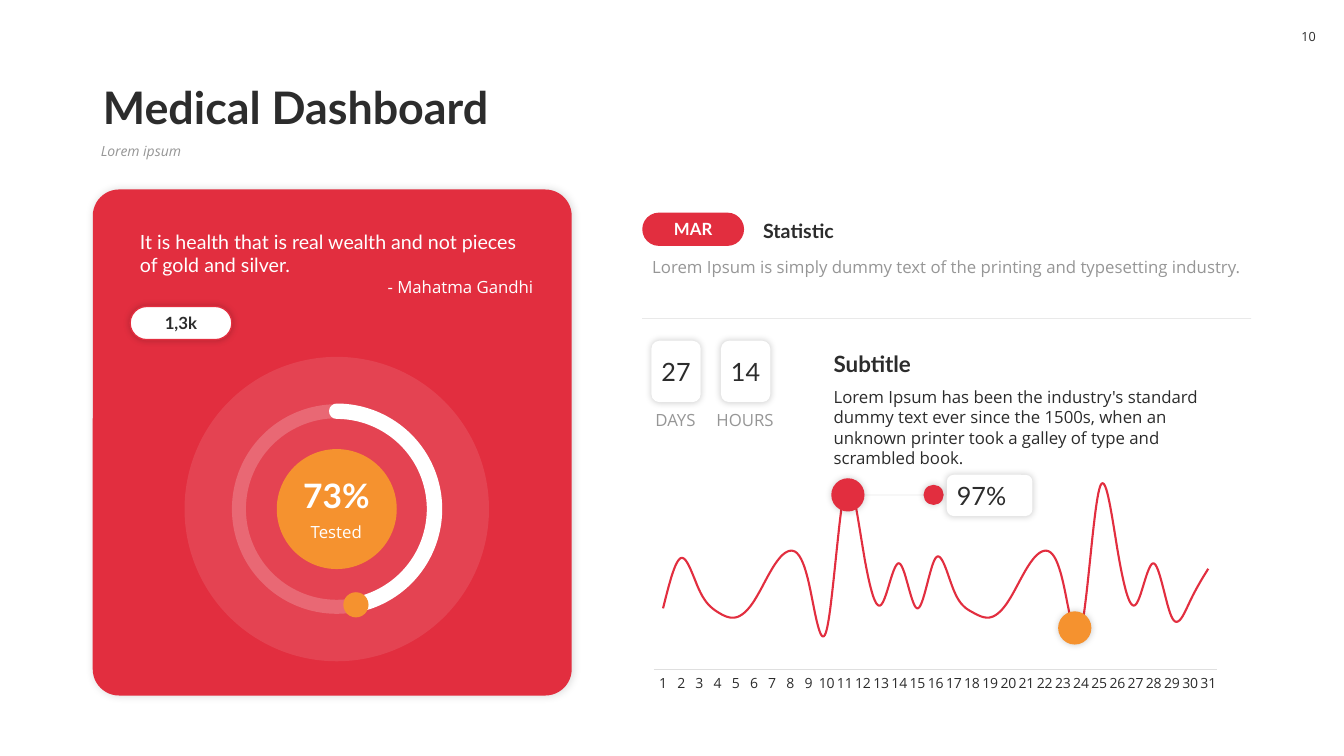
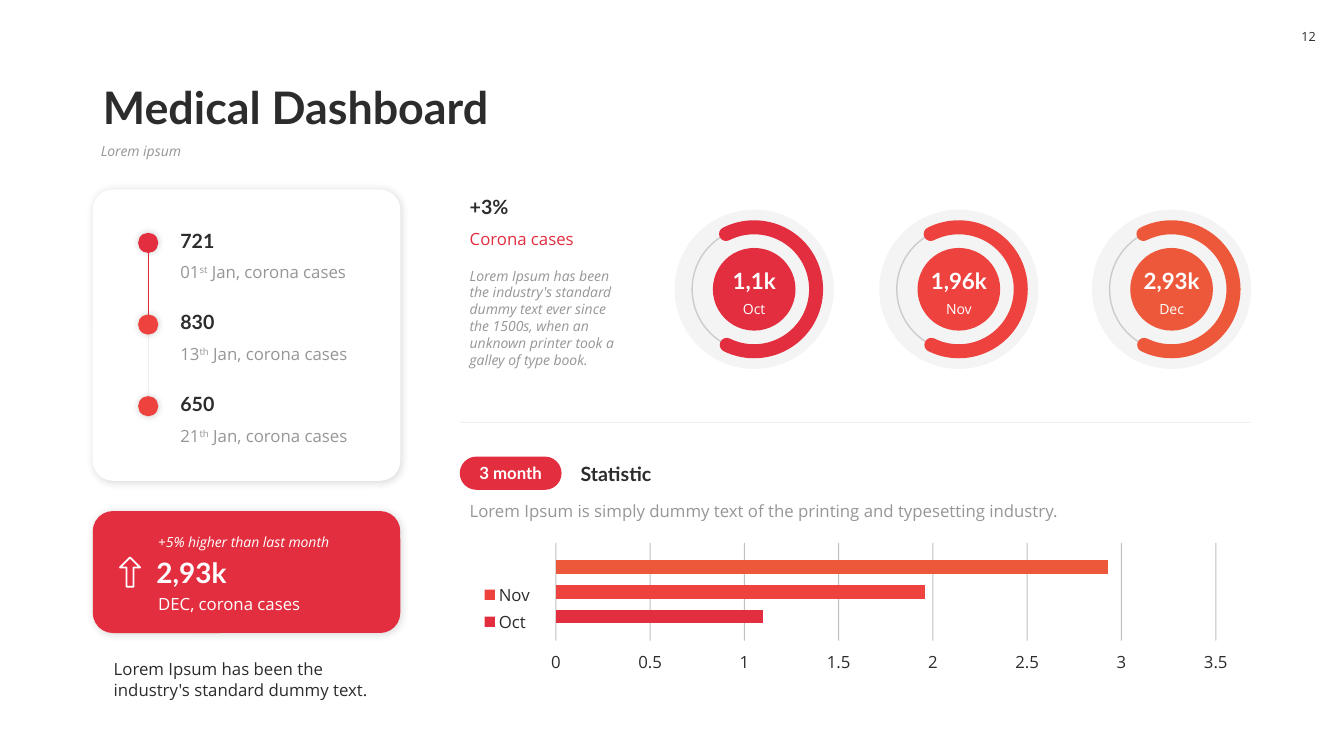
"""Build two medical dashboard slides."""
from lxml.etree import SubElement
from pptx import Presentation
from pptx.chart.data import CategoryChartData
from pptx.dml.color import RGBColor
from pptx.enum.chart import XL_CHART_TYPE as Chart, XL_LEGEND_POSITION as Legend
from pptx.enum.chart import XL_TICK_LABEL_POSITION as Labels, XL_TICK_MARK as Tick
from pptx.enum.shapes import MSO_CONNECTOR, MSO_SHAPE as Shape
from pptx.enum.text import MSO_ANCHOR as Anchor, MSO_AUTO_SIZE as Fit, PP_ALIGN as Align
from pptx.oxml.ns import qn
from pptx.util import Inches, Pt

RED, CORAL, FLAME, ORANGE = "E22E3F", "EE423E", "EE583A", "F5922F"
DARK, GRAY, WHITE, AXIS = "2C2C2C", "969696", "FFFFFF", "DFDFDF"
HEAD, BODY = "Lato", "Open Sans"
CARD_SHADOW, SOFT_SHADOW = (15, 6, 1), (20, 5, 0)

TITLE, SUBTITLE = "Medical Dashboard", "Lorem ipsum"
INTRO = "Lorem Ipsum is simply dummy text of the printing and typesetting industry."
QUOTE = "It is health that is real wealth and not pieces of gold and silver."
STORY = ("Lorem Ipsum has been the industry's standard dummy text ever since "
         "the 1500s, when an unknown printer took a galley of type and scrambled book.")
CASES_STORY = ("Lorem Ipsum has been the industry's standard dummy text ever since "
               "the 1500s, when an unknown printer took a galley of type book.")
CLOSING = "Lorem Ipsum has been the industry's standard dummy text."
COUNTERS = [("27", "DAYS", 6.7), ("14", "HOURS", 7.39)]
DAILY = [34, 62, 44, 32, 29, 38, 56, 66, 49, 22, 100, 67, 36, 59, 34, 62,
         44, 32, 29, 38, 56, 66, 49, 22, 100, 67, 36, 59, 29, 38, 56]
TIMELINE = [("721", ("01", "st", " Jan, corona cases"), RED),
            ("830", ("13", "th", " Jan, corona cases"), CORAL),
            ("650", ("21", "th", " Jan, corona cases"), CORAL)]
MONTHS = [("Oct", 1.1, "1,1k", RED, 7.48),
          ("Nov", 1.96, "1,96k", CORAL, 9.51),
          ("Dec", 2.93, "2,93k", FLAME, 11.62)]


def rgb(color):
    return RGBColor.from_string(color)


def around(x, y, size):
    return x - size / 2, y - size / 2, size, size


def paint(fill, color, alpha=100):
    fill.solid()
    fill.fore_color.rgb = rgb(color)
    if alpha < 100:
        node = fill._xPr.find(qn("a:solidFill"))[0]
        SubElement(node, qn("a:alpha"), val=str(alpha * 1000))


def draw_line(line, color, width, alpha=100):
    line.width = Pt(width)
    paint(line.fill, color, alpha)


def set_font(font, size, color=DARK, name=BODY, bold=False, italic=False):
    font.size, font.name, font.bold, font.italic = Pt(size), name, bold, italic
    font.color.rgb = rgb(color)


def write(frame, text, size=12, align=Align.LEFT, anchor=Anchor.TOP,
          inset=0.1, spacing=None, wrap=True, fit=Fit.NONE, **look):
    frame.word_wrap, frame.auto_size, frame.vertical_anchor = wrap, fit, anchor
    frame.margin_left = frame.margin_right = Inches(inset)
    frame.margin_top = frame.margin_bottom = Inches(0.05 if inset else 0)
    para = frame.add_paragraph() if frame.text else frame.paragraphs[0]
    para.alignment, para.line_spacing = align, spacing
    para.space_before = Pt(0)
    pieces = (text,) if isinstance(text, str) else text
    for index, piece in enumerate(pieces):
        span = para.add_run()
        span.text = piece
        set_font(span.font, size, **look)
        if index % 2:
            span._r.get_or_add_rPr().set("baseline", "30000")
    return para


def add_text(page, at, text, **look):
    box = page.shapes.add_textbox(*map(Inches, at))
    write(box.text_frame, text, fit=Fit.SHAPE_TO_FIT_TEXT, **look)
    return box


def add_heading(page, at, text, size=14, color=DARK, **look):
    return add_text(page, at, text, size=size, color=color, name=HEAD,
                    bold=True, anchor=Anchor.BOTTOM, **look)


def add_shape(page, kind, at, fill=None, alpha=100, line=None, shadow=None, adjust=()):
    shape = page.shapes.add_shape(kind, *map(Inches, at))
    shape.shadow.inherit = False
    for index, value in enumerate(adjust):
        shape.adjustments[index] = value
    if fill:
        paint(shape.fill, fill, alpha)
    else:
        shape.fill.background()
    if line:
        draw_line(shape.line, *line)
    else:
        shape.line.fill.background()
    if shadow:
        opacity, blur, distance = shadow
        effects = shape._element.spPr.find(qn("a:effectLst"))
        outer = SubElement(effects, qn("a:outerShdw"), blurRad=str(Pt(blur)),
                           dist=str(Pt(distance)), dir="2700000", algn="tl", rotWithShape="0")
        black = SubElement(outer, qn("a:srgbClr"), val="000000")
        SubElement(black, qn("a:alpha"), val=str(opacity * 1000))
    return shape


def add_dot(page, x, y, size, color, shadow=SOFT_SHADOW):
    return add_shape(page, Shape.OVAL, around(x, y, size), color, shadow=shadow)


def add_arc(page, at, start, end, color, width):
    arc = add_shape(page, Shape.ARC, at, line=(color, width),
                    adjust=(start * 0.6, end * 0.6))
    arc.line._get_or_add_ln().set("cap", "rnd")


def add_pill(page, left, top, text, fill=RED, color=WHITE, **look):
    pill = add_shape(page, Shape.ROUNDED_RECTANGLE, (left, top, 1.01, 0.33), fill,
                     adjust=(0.5,), **look)
    write(pill.text_frame, text, name=HEAD, bold=True, color=color,
          align=Align.CENTER, anchor=Anchor.MIDDLE, inset=0)


def add_tile(page, at, text, align=Align.CENTER, inset=0):
    tile = add_shape(page, Shape.ROUNDED_RECTANGLE, at, WHITE, shadow=SOFT_SHADOW)
    write(tile.text_frame, text, size=18, name=HEAD, align=align,
          anchor=Anchor.MIDDLE, inset=inset)


def add_rule(page, start, end, color=DARK, alpha=10):
    rule = page.shapes.add_connector(MSO_CONNECTOR.STRAIGHT, *map(Inches, start + end))
    draw_line(rule.line, color, 0.5, alpha)
    SubElement(rule._element.spPr, qn("a:effectLst"))


def add_card(page, top, width, height, fill, radius=0.2):
    ratio = round(radius / min(width, height), 3)
    add_shape(page, Shape.ROUNDED_RECTANGLE, (0.92, top, width, height), fill,
              shadow=CARD_SHADOW, adjust=(ratio,))


def add_statistic(page, left, top, label):
    add_pill(page, left, top, label)
    add_heading(page, (left + 1.1, top, 4.94, 0.34), "Statistic")
    add_text(page, (left, top + 0.39, 6.05, 0.3), INTRO, color=GRAY)


def add_chart(page, kind, at, categories, series):
    data = CategoryChartData()
    data.categories = categories
    for name, values in series:
        data.add_series(name, values)
    chart = page.shapes.add_chart(kind, *map(Inches, at), data).chart
    set_font(chart.font, 10)
    chart.has_title = chart.has_legend = False
    chart.plots[0].vary_by_categories = False
    for axis in (chart.category_axis, chart.value_axis):
        axis.major_tick_mark = axis.minor_tick_mark = Tick.NONE
        axis.has_major_gridlines = False
    return chart


def add_page(deck, number):
    page = deck.slides.add_slide(deck.slide_layouts[1])
    title, body = page.placeholders
    for holder, at in ((title, (0.92, 0.58, 11.5, 0.8)), (body, (0.9, 1.38, 11.52, 0.36))):
        holder.left, holder.top, holder.width, holder.height = map(Inches, at)
    write(title.text_frame, TITLE, size=32, name=HEAD, bold=True,
          anchor=Anchor.BOTTOM, spacing=0.9)
    para = write(body.text_frame, SUBTITLE, size=10, color=GRAY, italic=True, spacing=0.9)
    layout = para._p.get_or_add_pPr()
    layout.set("marL", "0")
    layout.set("indent", "0")
    SubElement(layout, qn("a:buNone"))
    add_text(page, (12.8, 0.23, 0.36, 0.27), number, size=9, align=Align.CENTER,
             anchor=Anchor.MIDDLE, inset=0.02, wrap=False)
    return page


def add_tested_card(page):
    add_card(page, 1.88, 4.75, 5.02, RED, radius=0.26)
    quote = add_text(page, (1.29, 2.23, 4.1, 0.77), QUOTE, size=14, name=HEAD, color=WHITE)
    write(quote.text_frame, "- Mahatma Gandhi", color=WHITE, align=Align.RIGHT,
          fit=Fit.SHAPE_TO_FIT_TEXT)
    add_pill(page, 1.29, 3.04, "1,3k", WHITE, DARK, line=(RED, 1), shadow=SOFT_SHADOW)
    x, y = 3.34, 5.05
    ring = around(x, y, 1.94)
    add_shape(page, Shape.OVAL, around(x, y, 3.02), WHITE, alpha=10)
    add_dot(page, x, y, 1.19, ORANGE, shadow=None)
    add_shape(page, Shape.OVAL, ring, line=(WHITE, 10, 20))
    add_arc(page, ring, 270, 74.93, WHITE, 11)
    add_dot(page, 3.53, 6.0, 0.25, ORANGE, shadow=None)
    add_heading(page, (2.74, 4.66, 1.19, 0.5), "73%", size=24, color=WHITE, align=Align.CENTER)
    add_text(page, (2.74, 5.13, 1.19, 0.3), "Tested", color=WHITE, align=Align.CENTER)


def add_daily_chart(page):
    days = [str(day + 1) for day in range(len(DAILY))]
    chart = add_chart(page, Chart.LINE_STACKED, (6.37, 4.45, 5.82, 2.47), days,
                      [("Series 1", DAILY)])
    chart.value_axis.visible = False
    draw_line(chart.category_axis.format.line, AXIS, 0.75)
    set_font(chart.category_axis.tick_labels.font, 10)
    series = chart.plots[0].series[0]
    series.smooth = True
    draw_line(series.format.line, RED, 1.5)


def add_march_page(deck):
    page = add_page(deck, "10")
    add_tested_card(page)
    add_statistic(page, 6.37, 2.11, "MAR")
    add_rule(page, (6.37, 3.16), (12.41, 3.16))
    add_daily_chart(page)
    for value, unit, x in COUNTERS:
        add_tile(page, (x - 0.24, 3.38, 0.49, 0.61), value)
        add_text(page, (x - 0.34, 4.02, 0.68, 0.3), unit, color=GRAY,
                 align=Align.CENTER, inset=0.04)
    add_heading(page, (8.17, 3.42, 4.26, 0.37), "Subtitle", size=16)
    add_text(page, (8.17, 3.79, 4.26, 0.71), STORY)
    add_rule(page, (8.58, 4.91), (9.19, 4.91))
    for x, y, size, color in ((8.41, 4.91, 0.33, RED), (10.66, 6.23, 0.33, ORANGE),
                              (9.26, 4.91, 0.2, RED)):
        add_dot(page, x, y, size, color)
    add_tile(page, (9.39, 4.71, 0.85, 0.41), "97%", align=Align.LEFT, inset=0.08)


def add_timeline(page):
    add_card(page, 1.88, 3.05, 2.89, WHITE)
    for index, (count, date, color) in enumerate(TIMELINE):
        top = 2.21 + index * 0.81
        add_heading(page, (1.69, top, 2.06, 0.34), count)
        add_text(page, (1.69, top + 0.34, 2.06, 0.3), date, color=GRAY)
        if index < len(TIMELINE) - 1:
            rule = (DARK, 10) if index else (RED, 100)
            add_rule(page, (1.47, top + 0.3), (1.47, top + 0.92), *rule)
        add_dot(page, 1.47, top + 0.2, 0.2, color)


def add_growth_card(page):
    add_card(page, 5.07, 3.05, 1.21, RED)
    add_shape(page, Shape.UP_ARROW, (1.19, 5.53, 0.2, 0.29), line=(WHITE, 1.25),
              adjust=(0.35, 0.5))
    add_heading(page, (1.47, 5.45, 2.28, 0.44), "2,93k", size=20, color=WHITE, inset=0.08)
    add_text(page, (1.47, 5.84, 2.28, 0.3), "DEC, corona cases", color=WHITE)
    add_text(page, (1.47, 5.24, 2.28, 0.27), "+5% higher than last month",
             size=10, color=WHITE, italic=True)
    add_text(page, (1.03, 6.49, 2.94, 0.5), CLOSING)


def add_month_ring(page, month, count, color, x, y=2.87):
    ring = around(x, y, 1.23)
    add_shape(page, Shape.OVAL, around(x, y, 1.58), DARK, alpha=5)
    add_shape(page, Shape.OVAL, ring, line=(DARK, 1, 20))
    add_arc(page, ring, 243.08, 116.19, color, 10)
    add_dot(page, x, y, 0.82, color, shadow=None)
    add_heading(page, (x - 0.41, 2.6, 0.82, 0.37), count, size=16, color=WHITE,
                align=Align.CENTER)
    add_text(page, (x - 0.41, 2.93, 0.82, 0.27), month, size=10, color=WHITE,
             align=Align.CENTER)


def add_month_chart(page):
    chart = add_chart(page, Chart.BAR_CLUSTERED, (4.67, 5.36, 7.66, 1.35), ["1"],
                      [(month, [value]) for month, value, *_ in MONTHS])
    chart.category_axis.visible = False
    axis = chart.value_axis
    axis.has_major_gridlines = True
    axis.tick_label_position = Labels.LOW
    draw_line(axis.major_gridlines.format.line, DARK, 0.75, 30)
    axis.format.line.fill.background()
    set_font(axis.tick_labels.font, 12)
    plot = chart.plots[0]
    plot.gap_width, plot.overlap = 250, -80
    for series, (_, _, _, color, _) in zip(plot.series, MONTHS):
        paint(series.format.fill, color)
    chart.has_legend = True
    chart.legend.position = Legend.LEFT
    chart.legend.include_in_layout = False
    set_font(chart.legend.font, 12)
    entry = SubElement(chart.legend._element, qn("c:legendEntry"))
    SubElement(entry, qn("c:idx"), val="0")
    SubElement(entry, qn("c:delete"), val="1")
    chart.legend._element.insert(1, entry)


def add_quarter_page(deck):
    page = add_page(deck, "12")
    add_timeline(page)
    add_growth_card(page)
    add_heading(page, (4.56, 1.88, 1.65, 0.34), "+3%")
    add_text(page, (4.56, 2.22, 1.65, 0.3), "Corona cases", color=RED)
    add_text(page, (4.56, 2.6, 1.65, 1.11), CASES_STORY, size=10, color=GRAY, italic=True)
    for month, _, count, color, x in MONTHS:
        add_month_ring(page, month, count, color, x)
    add_rule(page, (4.56, 4.19), (12.41, 4.19))
    add_statistic(page, 4.56, 4.53, "3 month")
    add_month_chart(page)


def main():
    deck = Presentation()
    deck.slide_width, deck.slide_height = Inches(13.33), Inches(7.5)
    add_march_page(deck)
    add_quarter_page(deck)
    deck.save("out.pptx")


if __name__ == "__main__":
    main()
